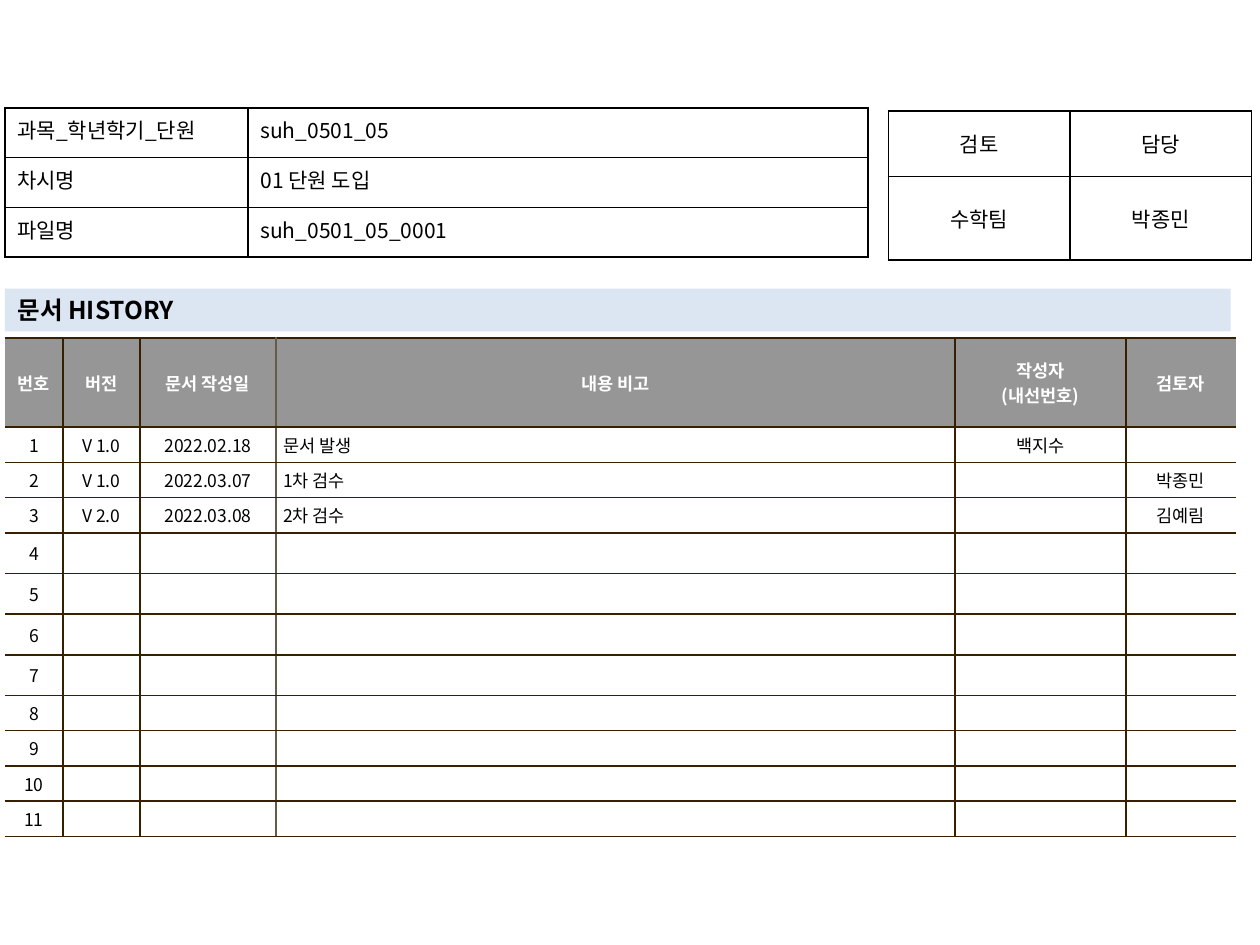
"""Build the document history page of a lesson storyboard."""
from lxml import etree
from pptx import Presentation
from pptx.dml.color import RGBColor
from pptx.enum.text import MSO_ANCHOR, PP_ALIGN
from pptx.oxml.ns import qn
from pptx.util import Cm, Pt

LEFT, CENTER, JUSTIFY = PP_ALIGN.LEFT, PP_ALIGN.CENTER, PP_ALIGN.JUSTIFY
TOP, MIDDLE = MSO_ANCHOR.TOP, MSO_ANCHOR.MIDDLE
BLACK = RGBColor(0x00, 0x00, 0x00)
WHITE = RGBColor(0xFF, 0xFF, 0xFF)
GRAY = RGBColor(0x96, 0x96, 0x96)
PALE_BLUE = RGBColor(0xDC, 0xE6, 0xF2)
BROWN = RGBColor(0x36, 0x20, 0x00)
TAUPE = RGBColor(0x64, 0x5B, 0x4C)
FONT = "Noto Sans CJK KR"

INFO = [
    ["과목_학년학기_단원", "suh_0501_05"],
    ["차시명", "01 단원 도입"],
    ["파일명", "suh_0501_05_0001"],
]
APPROVAL = [["검토", "담당"], ["수학팀", "박종민"]]
HEADINGS = ["번호", "버전", "문서 작성일", "내용 비고", "작성자\n(내선번호)", "검토자"]
ENTRIES = [
    ["V 1.0", "2022.02.18", "문서 발생", "백지수", ""],
    ["V 1.0", "2022.03.07", "1차 검수", "", "박종민"],
    ["V 2.0", "2022.03.08", "2차 검수", "", "김예림"],
]
ENTRY_COUNT = 11
NOTE_COLUMN = 3


def write_text(frame, text, size=12, color=BLACK, bold=False, align=LEFT):
    """Fill a text frame with one paragraph per line of text."""
    for index, line in enumerate(text.split("\n")):
        para = frame.add_paragraph() if index else frame.paragraphs[0]
        para.alignment = align
        if not line:
            etree.SubElement(para._p, qn("a:endParaRPr"), sz=str(size * 100))
            continue
        span = para.add_run()
        span.text = line
        span.font.size = Pt(size)
        span.font.bold = bold
        span.font.color.rgb = color
        span.font.name = FONT
        etree.SubElement(span.font._element, qn("a:ea"), typeface=FONT)


def set_borders(cell, colors):
    """Draw the left, right, top and bottom borders of a cell, None for no line."""
    properties = cell._tc.get_or_add_tcPr()
    for side, color in zip("LRTB", colors):
        line = etree.SubElement(properties, qn(f"a:ln{side}"), w=str(Pt(1)))
        if color is None:
            etree.SubElement(line, qn("a:noFill"))
        else:
            fill = etree.SubElement(line, qn("a:solidFill"))
            etree.SubElement(fill, qn("a:srgbClr"), val=str(color))


class PageBuilder:
    """Hold the current slide and add styled elements to it."""

    def __init__(self, page):
        """Keep the slide to draw on."""
        self.page = page

    def title(self, text, left, top, width, height):
        """Place the title as a filled band."""
        box = self.page.shapes.title
        box.left, box.top, box.width, box.height = map(Cm, (left, top, width, height))
        box.fill.solid()
        box.fill.fore_color.rgb = PALE_BLUE
        box.text_frame.word_wrap = True
        box.text_frame.vertical_anchor = MIDDLE
        write_text(box.text_frame, text, size=14, bold=True)

    def table(self, left, top, widths, heights):
        """Add a plain table with the given column widths and row heights."""
        frame = self.page.shapes.add_table(
            len(heights), len(widths), Cm(left), Cm(top), Cm(sum(widths)), Cm(sum(heights)))
        table = frame.table
        table.first_row = table.horz_banding = False
        for column, width in zip(table.columns, widths):
            column.width = Cm(width)
        for row, height in zip(table.rows, heights):
            row.height = Cm(height)
        return table

    def cell(self, cell, text, borders, fill=None, anchor=MIDDLE, margins=(0.25, 0.13), **style):
        """Format one table cell and write its text."""
        cell.margin_left = cell.margin_right = Cm(margins[0])
        cell.margin_top = cell.margin_bottom = Cm(margins[1])
        cell.vertical_anchor = anchor
        set_borders(cell, borders)
        if fill is None:
            cell.fill.background()
        else:
            cell.fill.solid()
            cell.fill.fore_color.rgb = fill
        write_text(cell.text_frame, text, **style)

    def form(self, rows, left, top, widths, heights, aligns, anchor):
        """Add a black ruled table with one alignment per column."""
        table = self.table(left, top, widths, heights)
        for r, row in enumerate(rows):
            for c, text in enumerate(row):
                self.cell(table.cell(r, c), text, [BLACK] * 4, anchor=anchor, align=aligns[c])

    def history(self, rows, left, top, widths, heights):
        """Add the history table, open at both sides, with a dark heading row."""
        table = self.table(left, top, widths, heights)
        inner = [BROWN] * (len(widths) - 1)
        inner[NOTE_COLUMN - 1] = TAUPE
        edges = [None, *inner, None]
        for r, row in enumerate(rows):
            heading = r == 0
            for c, text in enumerate(row):
                is_note = c == NOTE_COLUMN and not heading
                self.cell(
                    table.cell(r, c), text, (edges[c], edges[c + 1], BROWN, BROWN),
                    fill=GRAY if heading else WHITE, margins=(0.15, 0.1), size=10,
                    color=WHITE if heading else BLACK, bold=heading,
                    align=LEFT if is_note else CENTER)


def main():
    """Build and save the page."""
    deck = Presentation()
    deck.slide_width, deck.slide_height = Cm(25.4), Cm(19.05)
    builder = PageBuilder(deck.slides.add_slide(deck.slide_layouts[5]))

    blank = [""] * (len(HEADINGS) - 1)
    entries = ENTRIES + [blank] * (ENTRY_COUNT - len(ENTRIES))
    rows = [HEADINGS] + [[str(n), *entry] for n, entry in enumerate(entries, 1)]
    builder.history(
        rows, 0.1, 6.81, [1.17, 1.55, 2.74, 13.69, 3.45, 2.21],
        [1.8] + [0.71] * 3 + [0.82] * 4 + [0.71] * 4)
    builder.form(APPROVAL, 17.91, 2.24, [3.66] * 2, [1.32, 1.68], [CENTER] * 2, MIDDLE)
    builder.title("문서 HISTORY", 0.1, 5.82, 24.71, 0.86)
    builder.form(INFO, 0.1, 2.18, [4.9, 12.5], [1] * 3, [JUSTIFY, LEFT], TOP)
    deck.save("out.pptx")


if __name__ == "__main__":
    main()
